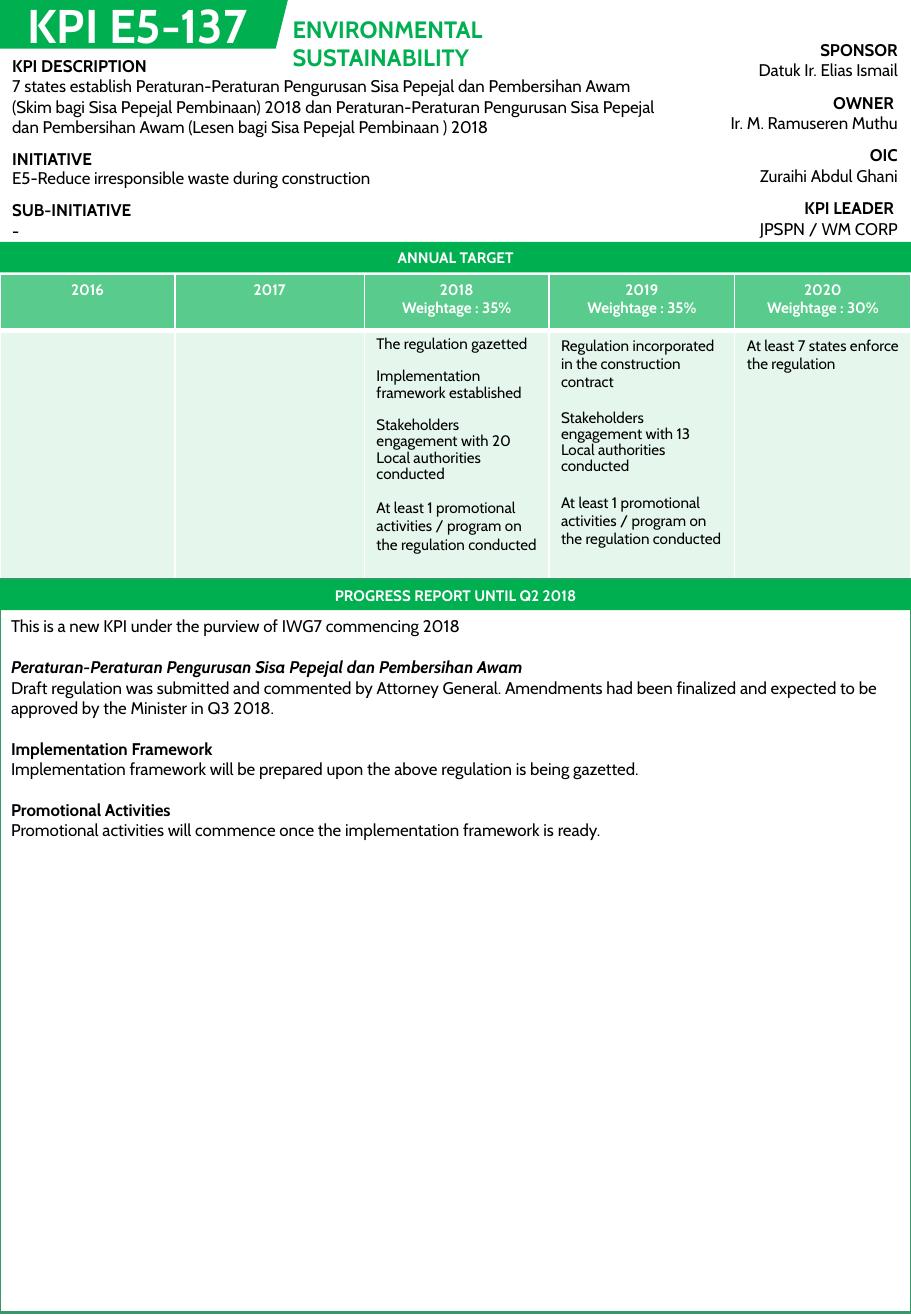
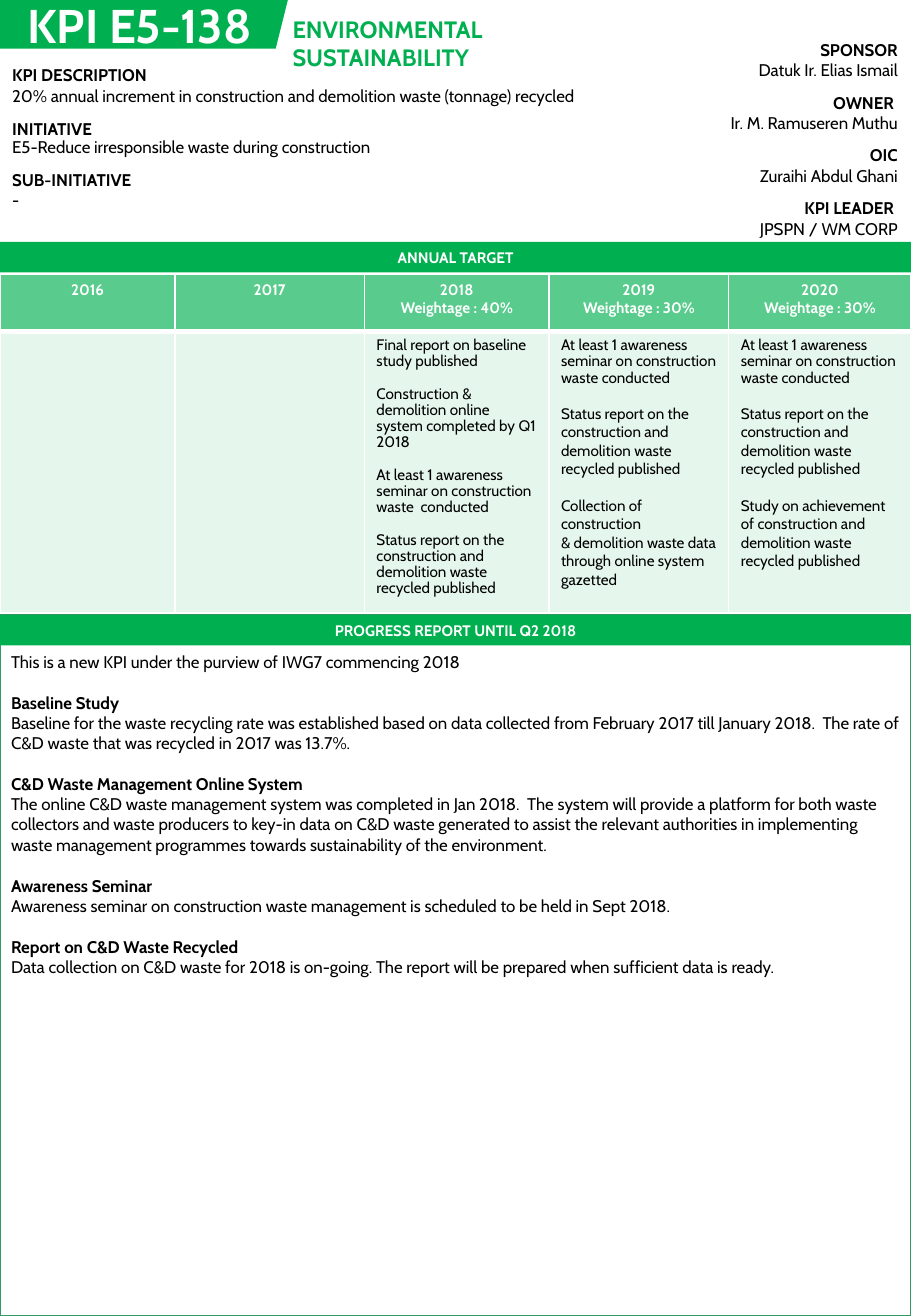
from pptx import Presentation
from pptx.dml.color import RGBColor
from pptx.enum.shapes import MSO_SHAPE as Preset
from pptx.enum.text import PP_ALIGN as Align
from pptx.oxml.ns import qn
from pptx.util import Pt
from lxml.etree import SubElement

GREEN = RGBColor(0x00, 0xB0, 0x50)
FRAME_GREEN = RGBColor(0x33, 0x99, 0x66)
WHITE = RGBColor(0xFF, 0xFF, 0xFF)
BLACK = RGBColor(0x00, 0x00, 0x00)
FONT = "Cabin"
PLAIN_TABLE = "{2D5ABB26-0587-4C30-8999-92F81FD0307C}"
PAGE_W, PAGE_H = 540, 779.76
BAND_H = 18.1
TIGHT = 0.88
TIGHT_GAP, CELL_GAP, REPORT_GAP = 9.6, 10.9, 12.15

THEME = "ENVIRONMENTAL SUSTAINABILITY"
YEARS = ["2016", "2017", "2018", "2019", "2020"]
PEOPLE = [
    ("SPONSOR", "Datuk Ir. Elias Ismail"),
    ("OWNER ", "Ir. M. Ramuseren Muthu"),
    ("OIC", "Zuraihi Abdul Ghani"),
    ("KPI LEADER ", "JPSPN / WM CORP"),
]
INITIATIVE = "E5-Reduce irresponsible waste during construction"
NEW_KPI = "This is a new KPI under the purview of IWG7 commencing 2018"
PROMOTION = "At least 1 promotional activities / program on the regulation conducted"
SEMINAR = "At least 1 awareness seminar on construction waste conducted"
STATUS = "Status report on the construction and demolition waste recycled published"


def write(frame, paragraphs, size=10, color=BLACK, bold=False, italic=False,
          align=Align.LEFT, spacing=None, before=0):
    frame.word_wrap = True
    for index, item in enumerate(paragraphs):
        text, own = item if isinstance(item, tuple) else (item, {})
        para = frame.paragraphs[0] if index == 0 else frame.add_paragraph()
        para.alignment = align
        line_spacing = own.get("spacing", spacing)
        if line_spacing:
            para.line_spacing = line_spacing
        if index:
            para.space_before = Pt(own.get("before", before))
        run = para.add_run()
        run.text = text
        font = run.font
        font.name, font.size = FONT, Pt(size)
        font.color.rgb = color
        font.bold = own.get("bold", bold)
        font.italic = own.get("italic", italic)


def tight(text, **own):
    return text, dict(own, spacing=TIGHT)


def heading(text, **own):
    return text, dict(own, bold=True)


def add_text(slide, box, paragraphs, **look):
    write(slide.shapes.add_textbox(*map(Pt, box)).text_frame, paragraphs, **look)


def add_block(slide, preset, box, fill=None, line=None):
    block = slide.shapes.add_shape(preset, *map(Pt, box))
    block.shadow.inherit = False
    if fill is None:
        block.fill.background()
    else:
        block.fill.solid()
        block.fill.fore_color.rgb = fill
    if line is None:
        block.line.fill.background()
    else:
        block.line.color.rgb = line
        block.line.width = Pt(1.5)
    return block


def add_band(slide, top, title):
    band = add_block(slide, Preset.RECTANGLE, (0, top, PAGE_W, BAND_H), GREEN)
    write(band.text_frame, [title], size=9, color=WHITE, bold=True, align=Align.CENTER)


def add_grid(slide, left, top, widths, heights):
    graphic = slide.shapes.add_table(
        len(heights), len(widths), Pt(left), Pt(top), Pt(sum(widths)), Pt(sum(heights)))
    grid = graphic.table
    grid.first_row = grid.horz_banding = False
    graphic._element.find(".//" + qn("a:tableStyleId")).text = PLAIN_TABLE
    for column, width in zip(grid.columns, widths):
        column.width = Pt(width)
    for row, height in zip(grid.rows, heights):
        row.height = Pt(height)
    for cell in grid.iter_cells():
        cell.fill.background()
    return grid


def paint_cell(cell, opacity, top_width, bottom_width):
    cell.fill.solid()
    cell.fill.fore_color.rgb = GREEN
    props = cell._tc.get_or_add_tcPr()
    tint = props.find(".//" + qn("a:srgbClr"))
    SubElement(tint, qn("a:alpha"), val=str(opacity * 1000))
    edges = [("a:lnL", 1), ("a:lnR", 1), ("a:lnT", top_width), ("a:lnB", bottom_width)]
    for position, (side, width) in enumerate(edges):
        edge = SubElement(props, qn(side), w=str(Pt(width)))
        SubElement(SubElement(edge, qn("a:solidFill")), qn("a:srgbClr"), val=str(WHITE))
        props.insert(position, edge)


def draw_header(slide, number):
    add_block(slide, Preset.PARALLELOGRAM, (-12.24, 0, 182.88, 28.8), GREEN)
    add_text(slide, (166.32, 5.04, 221.76, 24.48), [THEME], size=14, color=GREEN, bold=True)
    add_text(slide, (9.36, -5.76, 161.28, 41.04), [f"KPI {number}"],
             size=28, color=WHITE, bold=True)


def draw_people(slide, left, top, width):
    grid = add_grid(slide, left, top, [width], [31.14] * len(PEOPLE))
    for row, (role, person) in enumerate(PEOPLE):
        write(grid.cell(row, 0).text_frame, [heading(role), person], align=Align.RIGHT)


def draw_summary(slide, top, width, heights, description):
    grid = add_grid(slide, 0, top, [width], heights)
    entries = [
        [heading("KPI DESCRIPTION"), description],
        [heading("INITIATIVE"), tight(INITIATIVE)],
        [heading("SUB-INITIATIVE"), "-"],
    ]
    for row, entry in enumerate(entries):
        write(grid.cell(row, 0).text_frame, entry)


def draw_targets(slide, top, widths, heights, weights, targets):
    grid = add_grid(slide, 0, top, widths, heights)
    for column, year in enumerate(YEARS):
        head, body = grid.cell(0, column), grid.cell(1, column)
        paint_cell(head, 65, 1, 3)
        paint_cell(body, 10, 3, 1)
        weight = weights.get(year)
        label = [year, f"Weightage : {weight}%"] if weight else [year]
        write(head.text_frame, label, size=9, color=WHITE, bold=True, align=Align.CENTER)
        if year in targets:
            gap = TIGHT_GAP if year == "2018" else CELL_GAP
            write(body.text_frame, targets[year], size=9, before=gap)
    add_band(slide, top - 19.44, "ANNUAL TARGET")


def draw_report(slide, top, bottom, sections):
    add_block(slide, Preset.RECTANGLE, (0, top, PAGE_W, bottom - top), line=FRAME_GREEN)
    add_band(slide, top, "PROGRESS REPORT UNTIL Q2 2018")
    paragraphs = [NEW_KPI]
    for title, body, italic in sections:
        paragraphs += [heading(title, italic=italic, before=REPORT_GAP), body]
    add_text(slide, (-0.5, top + BAND_H, PAGE_W + 0.5, 160), paragraphs)


KPIS = [
    dict(
        number="E5-137",
        summary=dict(
            top=29.52, width=401, heights=[55.4, 30.2, 31.2],
            description="7 states establish Peraturan-Peraturan Pengurusan Sisa Pepejal dan "
            "Pembersihan Awam (Skim bagi Sisa Pepejal Pembinaan) 2018 dan Peraturan-Peraturan "
            "Pengurusan Sisa Pepejal dan Pembersihan Awam (Lesen bagi Sisa Pepejal Pembinaan ) 2018"),
        targets=dict(
            widths=[103.7, 112.3, 109.4, 110.2, 104.4], heights=[33.1, 149],
            weights={"2018": 35, "2019": 35, "2020": 30},
            targets={
                "2018": [
                    tight("The regulation gazetted"),
                    tight("Implementation framework established"),
                    tight("Stakeholders engagement with 20 Local authorities conducted"),
                    PROMOTION],
                "2019": [
                    "Regulation incorporated  in the construction contract",
                    tight("Stakeholders engagement with 13 Local authorities conducted"),
                    PROMOTION],
                "2020": ["At least 7 states enforce the regulation"],
            }),
        report=dict(top=343.44, bottom=777.6, sections=[
            ("Peraturan-Peraturan Pengurusan Sisa Pepejal dan Pembersihan Awam",
             "Draft regulation was submitted and commented by Attorney General. Amendments had "
             "been finalized and expected to be approved by the Minister in Q3 2018.", True),
            ("Implementation Framework",
             "Implementation framework will be prepared upon the above regulation is being "
             "gazetted.", False),
            ("Promotional Activities",
             "Promotional activities will commence once the implementation framework is ready.",
             False),
        ]),
    ),
    dict(
        number="E5-138",
        summary=dict(
            top=35.28, width=370, heights=[31.7, 30.2, 31.2],
            description="20% annual increment in construction and demolition waste (tonnage) "
            "recycled"),
        targets=dict(
            widths=[103.7, 112.3, 109.4, 106.6, 108], heights=[33.8, 166.5],
            weights={"2018": 40, "2019": 30, "2020": 30},
            targets={
                "2018": [
                    tight("Final report on baseline study published"),
                    tight("Construction & demolition online system completed by Q1 2018"),
                    tight("At least 1 awareness seminar on construction waste  conducted"),
                    tight(STATUS)],
                "2019": [
                    tight(SEMINAR), STATUS, "Collection of construction",
                    ("& demolition waste data through online system gazetted", dict(before=0))],
                "2020": [
                    tight(SEMINAR), STATUS,
                    "Study on achievement of construction and demolition waste recycled published"],
            }),
        report=dict(top=364.32, bottom=PAGE_H, sections=[
            ("Baseline Study",
             "Baseline for the waste recycling rate was established based on data collected from "
             "February 2017 till January 2018.  The rate of C&D waste that was recycled in 2017 "
             "was 13.7%.", False),
            ("C&D Waste Management Online System",
             "The online C&D waste management system was completed in Jan 2018.  The system will "
             "provide a platform for both waste collectors and waste producers to key-in data on "
             "C&D waste generated to assist the relevant authorities in implementing waste "
             "management programmes towards sustainability of the environment.", False),
            ("Awareness Seminar",
             "Awareness seminar on construction waste management is scheduled to be held in Sept "
             "2018.", False),
            ("Report on C&D Waste Recycled",
             "Data collection on C&D waste for 2018 is on-going. The report will be prepared when "
             "sufficient data is ready.", False),
        ]),
    ),
]


def draw_kpi(deck, kpi):
    slide = deck.slides.add_slide(deck.slide_layouts[6])
    draw_targets(slide, 162.72, **kpi["targets"])
    draw_report(slide, **kpi["report"])
    draw_people(slide, 363.6, 20.16, 175.7)
    draw_summary(slide, **kpi["summary"])
    draw_header(slide, kpi["number"])


def main():
    deck = Presentation()
    deck.slide_width, deck.slide_height = Pt(PAGE_W), Pt(PAGE_H)
    for kpi in KPIS:
        draw_kpi(deck, kpi)
    deck.save("out.pptx")


if __name__ == "__main__":
    main()
